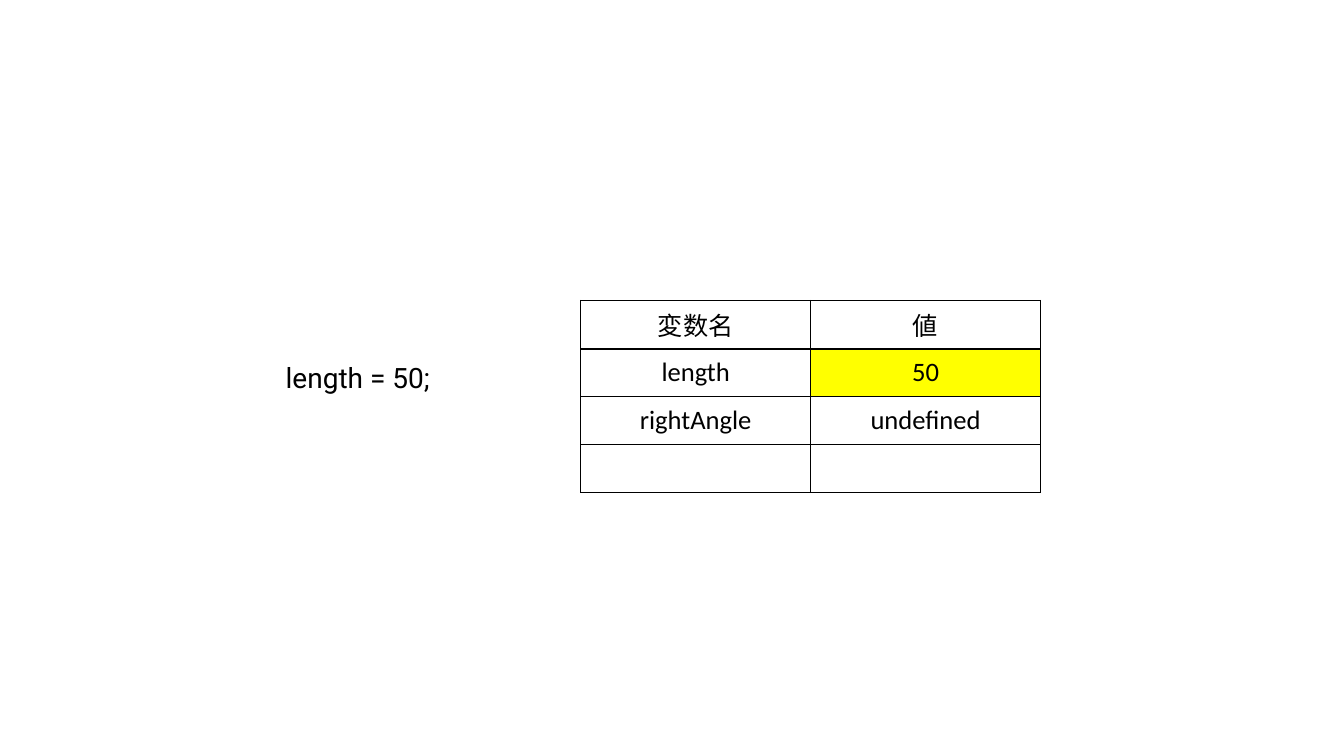
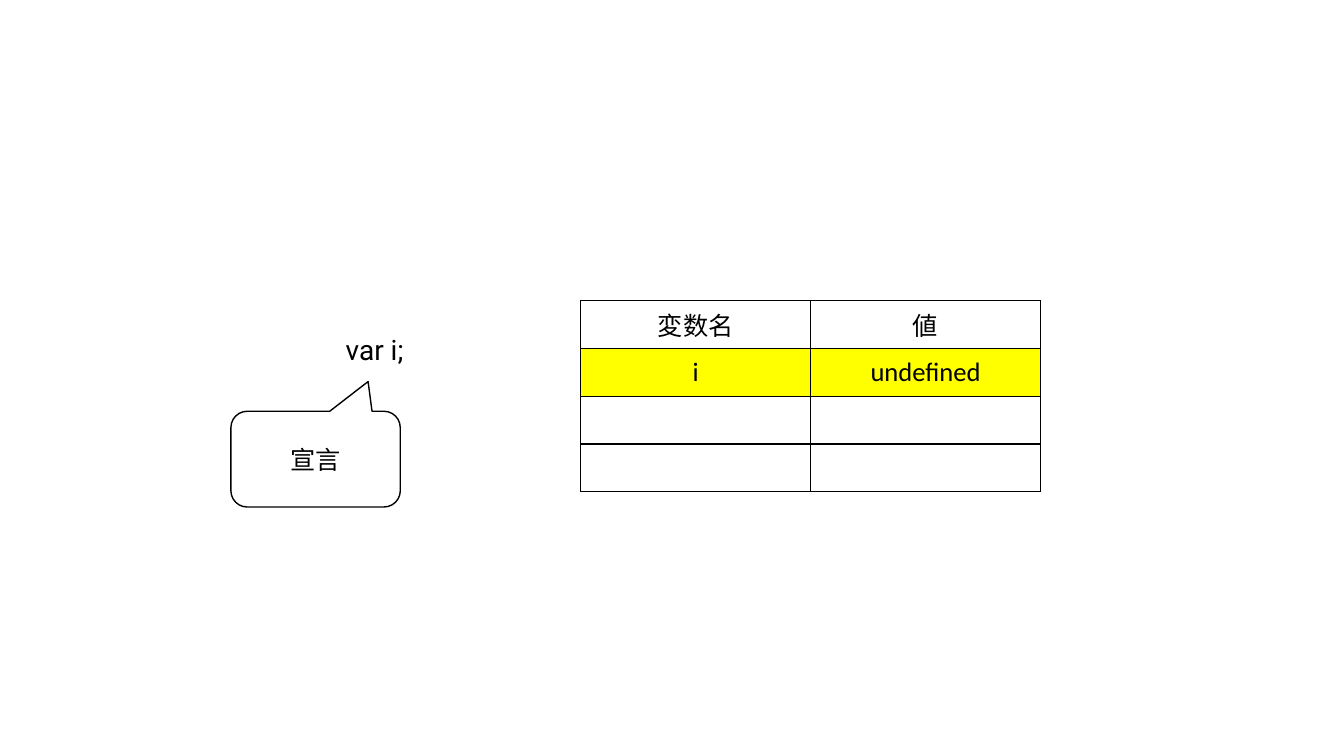
from dataclasses import dataclass

import lxml.etree
import pptx
import pptx.dml.color
import pptx.enum.shapes
import pptx.enum.text
import pptx.oxml.ns
import pptx.util

Inches = pptx.util.Inches
Pt = pptx.util.Pt


@dataclass(frozen=True)
class Theme:
    ink: str = "000000"
    highlight: str = "FFFF00"
    body_font: str = "Calibri"
    code_font: str = "Roboto"
    label_size: int = 18
    value_size: int = 19
    code_size: int = 20
    line_width: int = 1


@dataclass(frozen=True)
class Box:
    left: float
    top: float
    width: float
    height: float

    def lengths(self) -> list[int]:
        return [Inches(v) for v in (self.left, self.top, self.width, self.height)]


@dataclass(frozen=True)
class Step:
    """One statement and the variable table after it has run."""
    code: str
    code_box: Box
    variables: tuple[tuple[str, str], ...]
    changed: frozenset[tuple[int, int]]
    callout: str = ""


THEME = Theme()
HEADER = ("変数名", "値")
TABLE_ROWS = 4
TABLE_BOX = Box(5.76, 2.98, 4.56, 1.9)
CALLOUT_BOX = Box(2.29, 4.08, 1.68, 0.95)
CALLOUT_ADJUSTMENTS = (0.31, -0.81, 0.17)

STEPS = (
    Step("length = 50;", Box(2.62, 3.53, 1.86, 0.44),
         (("length", "50"), ("rightAngle", "undefined")), frozenset({(1, 1)})),
    Step("var i;", Box(3.29, 3.25, 0.85, 0.44),
         (("i", "undefined"),), frozenset({(1, 0), (1, 1)}), "宣言"),
)


def rgb(color: str) -> pptx.dml.color.RGBColor:
    return pptx.dml.color.RGBColor.from_string(color)


def write(tf, text: str, *, size: int, font: str = THEME.body_font,
          color: str = THEME.ink) -> None:
    p = tf.paragraphs[0]
    p.alignment = pptx.enum.text.PP_ALIGN.CENTER
    r = p.add_run()
    r.text = text
    r.font.size = Pt(size)
    r.font.name = font
    r.font.color.rgb = rgb(color)


def add_borders(cell) -> None:
    qn = pptx.oxml.ns.qn
    tc_pr = cell._tc.get_or_add_tcPr()
    for side in ("a:lnL", "a:lnR", "a:lnT", "a:lnB"):
        ln = lxml.etree.SubElement(tc_pr, qn(side), w=str(Pt(THEME.line_width)))
        fill = lxml.etree.SubElement(ln, qn("a:solidFill"))
        lxml.etree.SubElement(fill, qn("a:srgbClr"), val=THEME.ink)


def add_variable_table(slide, step: Step) -> None:
    table = slide.shapes.add_table(TABLE_ROWS, len(HEADER), *TABLE_BOX.lengths()).table
    table.first_row = False
    table.horz_banding = False
    rows = (HEADER, *step.variables)
    for i in range(TABLE_ROWS):
        for j in range(len(HEADER)):
            cell = table.cell(i, j)
            cell.vertical_anchor = pptx.enum.text.MSO_ANCHOR.MIDDLE
            cell.margin_left = cell.margin_right = Inches(0.11)
            cell.margin_top = cell.margin_bottom = Inches(0.06)
            add_borders(cell)
            if (i, j) in step.changed:
                cell.fill.solid()
                cell.fill.fore_color.rgb = rgb(THEME.highlight)
            else:
                cell.fill.background()
            if i < len(rows):
                write(cell.text_frame, rows[i][j],
                      size=THEME.value_size if i else THEME.label_size)


def add_code(slide, step: Step) -> None:
    tf = slide.shapes.add_textbox(*step.code_box.lengths()).text_frame
    tf.word_wrap = False
    tf.auto_size = pptx.enum.text.MSO_AUTO_SIZE.SHAPE_TO_FIT_TEXT
    write(tf, step.code, size=THEME.code_size, font=THEME.code_font)


def add_callout(slide, text: str) -> None:
    sp = slide.shapes.add_shape(
        pptx.enum.shapes.MSO_SHAPE.ROUNDED_RECTANGULAR_CALLOUT, *CALLOUT_BOX.lengths())
    for i, value in enumerate(CALLOUT_ADJUSTMENTS):
        sp.adjustments[i] = value
    sp.shadow.inherit = False
    sp.fill.background()
    sp.line.color.rgb = rgb(THEME.ink)
    sp.line.width = Pt(THEME.line_width)
    sp.text_frame.vertical_anchor = pptx.enum.text.MSO_ANCHOR.MIDDLE
    write(sp.text_frame, text, size=THEME.label_size)


def main() -> None:
    prs = pptx.Presentation()
    prs.slide_width = Inches(13.33)
    prs.slide_height = Inches(7.5)
    for step in STEPS:
        slide = prs.slides.add_slide(prs.slide_layouts[6])
        add_variable_table(slide, step)
        add_code(slide, step)
        if step.callout:
            add_callout(slide, step.callout)
    prs.save("out.pptx")


if __name__ == "__main__":
    main()
